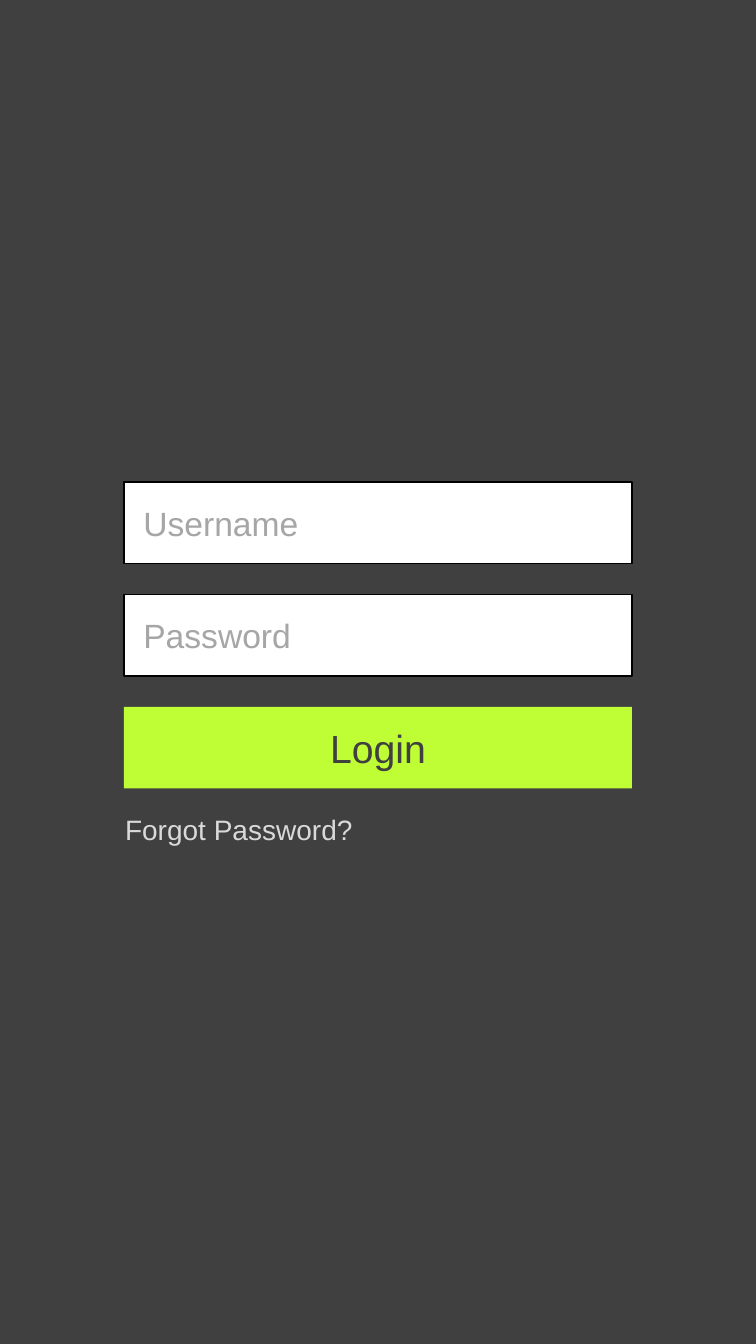
"""Build a mobile login screen with two input fields, a button and a link."""
from dataclasses import dataclass

from pptx import Presentation
from pptx import util as u
from pptx.dml.color import RGBColor
from pptx.enum import shapes, text
from pptx.shapes.autoshape import Shape
from pptx.slide import Slide

FONT = "Arial"
DARK, WHITE, BLACK = "404040", "FFFFFF", "000000"
HINT, LIME, LIGHT = "A6A6A6", "BFFE34", "D9D9D9"
LEFT, TOP, WIDTH, HEIGHT, PITCH = 88.56, 344.2, 362.88, 58.32, 80.35
INSET, FIELD_INSET = 7.2, 13.87


@dataclass(frozen=True)
class Control:
    label: str
    size: float
    color: str
    fill: str
    line: str | None = None
    inset: float = INSET
    alignment: text.PP_ALIGN = text.PP_ALIGN.LEFT


CONTROLS = [
    Control("Username", 24, HINT, WHITE, BLACK, FIELD_INSET),
    Control("Password", 24, HINT, WHITE, BLACK, FIELD_INSET),
    Control("Login", 28, DARK, LIME, alignment=text.PP_ALIGN.CENTER),
]


def rgb(value: str) -> RGBColor:
    return RGBColor.from_string(value)


def write_label(shape: Shape, label: str, size: float, color: str,
                alignment: text.PP_ALIGN, inset: float = INSET) -> None:
    frame = shape.text_frame
    frame.text = label
    frame.word_wrap = True
    frame.vertical_anchor = text.MSO_ANCHOR.MIDDLE
    frame.margin_left = u.Pt(inset)
    paragraph = frame.paragraphs[0]
    paragraph.alignment = alignment
    font = paragraph.runs[0].font
    font.name = FONT
    font.size = u.Pt(size)
    font.color.rgb = rgb(color)


def draw_control(slide: Slide, control: Control, top: float) -> None:
    shape = slide.shapes.add_shape(
        shapes.MSO_SHAPE.RECTANGLE, u.Pt(LEFT), u.Pt(top), u.Pt(WIDTH), u.Pt(HEIGHT))
    shape.shadow.inherit = False
    shape.fill.solid()
    shape.fill.fore_color.rgb = rgb(control.fill)
    if control.line:
        shape.line.color.rgb = rgb(control.line)
        shape.line.width = u.Pt(1)
    else:
        shape.line.fill.background()
    write_label(shape, control.label, control.size, control.color,
                control.alignment, control.inset)


def main() -> None:
    presentation = Presentation()
    presentation.slide_width = u.Pt(540)
    presentation.slide_height = u.Pt(960)
    slide = presentation.slides.add_slide(presentation.slide_layouts[6])
    slide.background.fill.solid()
    slide.background.fill.fore_color.rgb = rgb(DARK)
    for index, control in enumerate(CONTROLS):
        draw_control(slide, control, TOP + index * PITCH)
    forgot_link = slide.shapes.add_textbox(
        u.Pt(54), u.Pt(563.04), u.Pt(233.28), u.Pt(HEIGHT))
    write_label(forgot_link, "Forgot Password?", 20, LIGHT, text.PP_ALIGN.CENTER)
    presentation.save("out.pptx")


if __name__ == "__main__":
    main()
